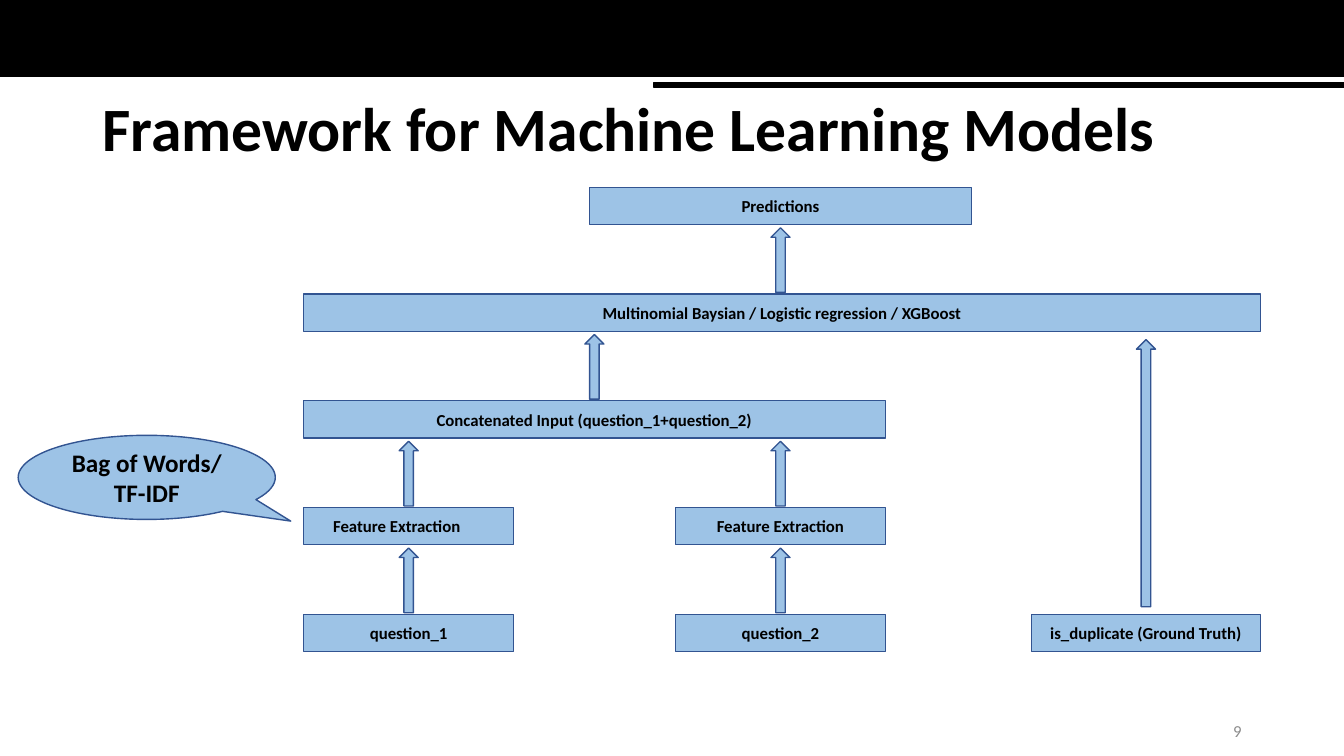
from pptx import Presentation
from pptx.dml.color import RGBColor
from pptx.enum.shapes import MSO_SHAPE as Kind
from pptx.enum.text import MSO_ANCHOR as Anchor, MSO_AUTO_SIZE as Fit, PP_ALIGN as Align
from pptx.util import Cm, Pt

BLACK = RGBColor(0, 0, 0)
BLUE = RGBColor(0x9D, 0xC3, 0xE6)
NAVY = RGBColor(0x32, 0x54, 0x91)
GREY = RGBColor(0x8C, 0x8C, 0x8C)
FONT = "Calibri"
WIDTH, HEIGHT = 33.87, 19.05

ROW, TALL, GAP = 2.69, 0.94, 0.08
RISE, SLIM = 1.63, 0.48
LEFT, MID, RIGHT, JOIN = 2.65, 12.02, 21.23, 7.33
BOXES = [
    ("Predictions", 0, MID, 9.63),
    ("Multinomial Baysian / Logistic regression / XGBoost", 1, 12.06, 24.12),
    ("Concatenated Input (question_1+question_2)", 2, JOIN, 14.66),
    ("Feature Extraction\t", 3, LEFT, 5.3),
    ("Feature Extraction", 3, MID, 5.3),
    ("question_1", 4, LEFT, 5.3),
    ("question_2", 4, MID, 5.3),
    ("is_duplicate (Ground Truth)", 4, RIGHT, 5.78),
]
ARROWS = [(2, LEFT), (2, MID), (3, LEFT), (3, MID), (1, JOIN), (0, MID)]


def style(frame, size, color=BLACK, bold=True, align=Align.CENTER):
    frame.word_wrap = True
    frame.auto_size = Fit.NONE
    frame.vertical_anchor = Anchor.MIDDLE
    for para in frame.paragraphs:
        para.alignment = align
        font = para.font
        font.name, font.size, font.bold = FONT, Pt(size), bold
        font.color.rgb = color


def draw(slide, kind, x, y, w, h, fill=BLUE, edge=NAVY):
    shape = slide.shapes.add_shape(kind, Cm(x), Cm(y), Cm(w), Cm(h))
    shape.shadow.inherit = False
    shape.fill.solid()
    shape.fill.fore_color.rgb = fill
    shape.line.color.rgb = edge
    shape.line.width = Pt(1)
    return shape


def label(shape, text, size):
    shape.text_frame.text = text
    style(shape.text_frame, size)


def add_bands(slide, x, y, w):
    draw(slide, Kind.RECTANGLE, x, y, w, 1.93, BLACK, BLACK)
    thin = 17.4
    draw(slide, Kind.RECTANGLE, x + w - thin, y + 2.09, thin, 0.1, BLACK, BLACK)


def add_title(slide, x, y, w, h):
    title = slide.shapes.title
    title.left, title.top, title.width, title.height = Cm(x), Cm(y), Cm(w), Cm(h)
    title.text_frame.text = "Framework for Machine Learning Models"
    style(title.text_frame, 44, align=Align.LEFT)
    title.text_frame.paragraphs[0].line_spacing = 0.9


def add_flow(slide, x, y):
    for text, row, mid, wide in BOXES:
        box = draw(slide, Kind.RECTANGLE, x + mid - wide / 2, y + row * ROW, wide, TALL)
        label(box, text, 12)
    for row, mid in ARROWS:
        top = y + row * ROW + TALL + GAP
        draw(slide, Kind.UP_ARROW, x + mid - SLIM / 2, top, SLIM, RISE)
    draw(slide, Kind.UP_ARROW, x + RIGHT - SLIM / 2, y + 3.84, SLIM, 6.73)


def add_note(slide, x, y, w, h):
    note = draw(slide, Kind.OVAL_CALLOUT, x, y, w, h)
    note.adjustments[0], note.adjustments[1] = 0.56, 0.52
    label(note, "Bag of Words/ TF-IDF", 18)


def add_number(slide, x, y, w, h):
    box = slide.shapes.add_textbox(Cm(x), Cm(y), Cm(w), Cm(h))
    box.text_frame.text = "9"
    style(box.text_frame, 12, GREY, False, Align.RIGHT)


def main():
    deck = Presentation()
    deck.slide_width, deck.slide_height = Cm(WIDTH), Cm(HEIGHT)
    slide = deck.slides.add_slide(deck.slide_layouts[5])
    add_bands(slide, 0, 0, WIDTH)
    add_title(slide, 2.33, 1.93, 29.21, 2.76)
    add_flow(slide, 7.65, 4.72)
    add_note(slide, 0.46, 10.97, 6.48, 2.12)
    add_number(slide, 23.92, 17.9, 7.62, 1.02)
    deck.save("out.pptx")


main()
